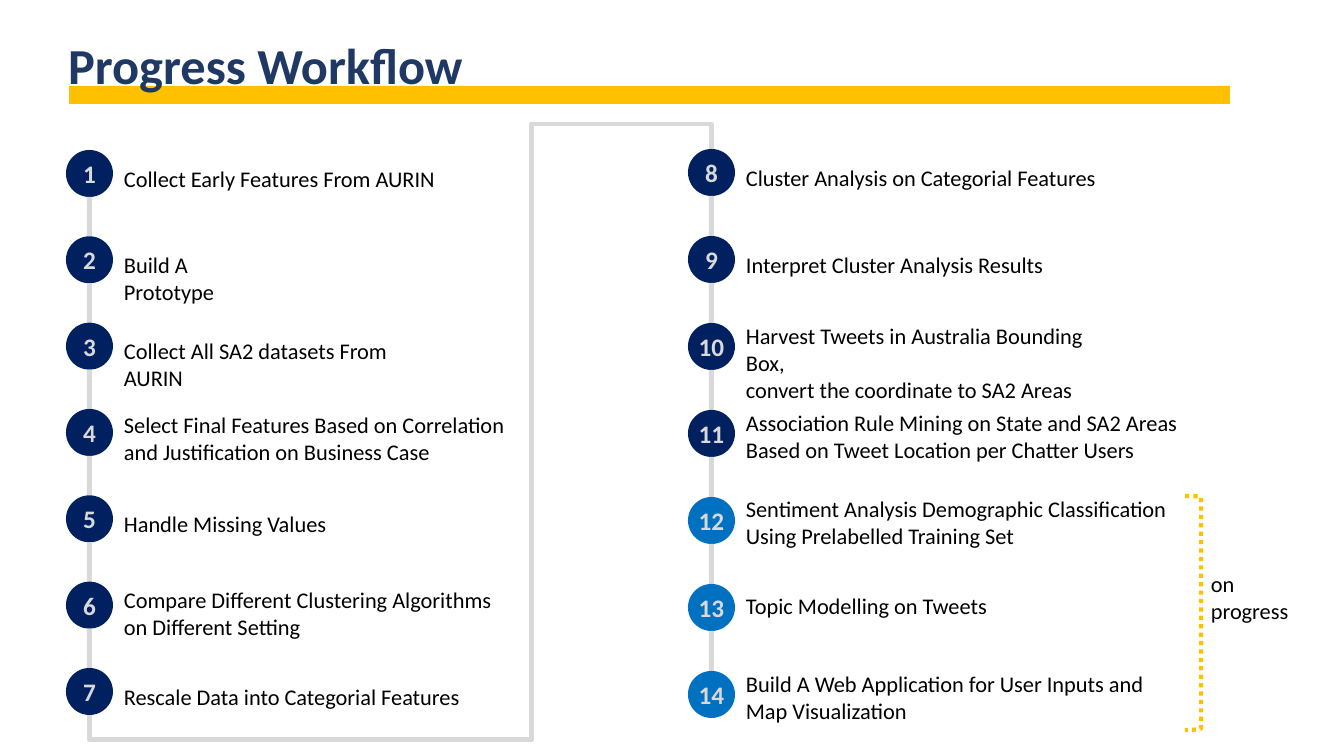
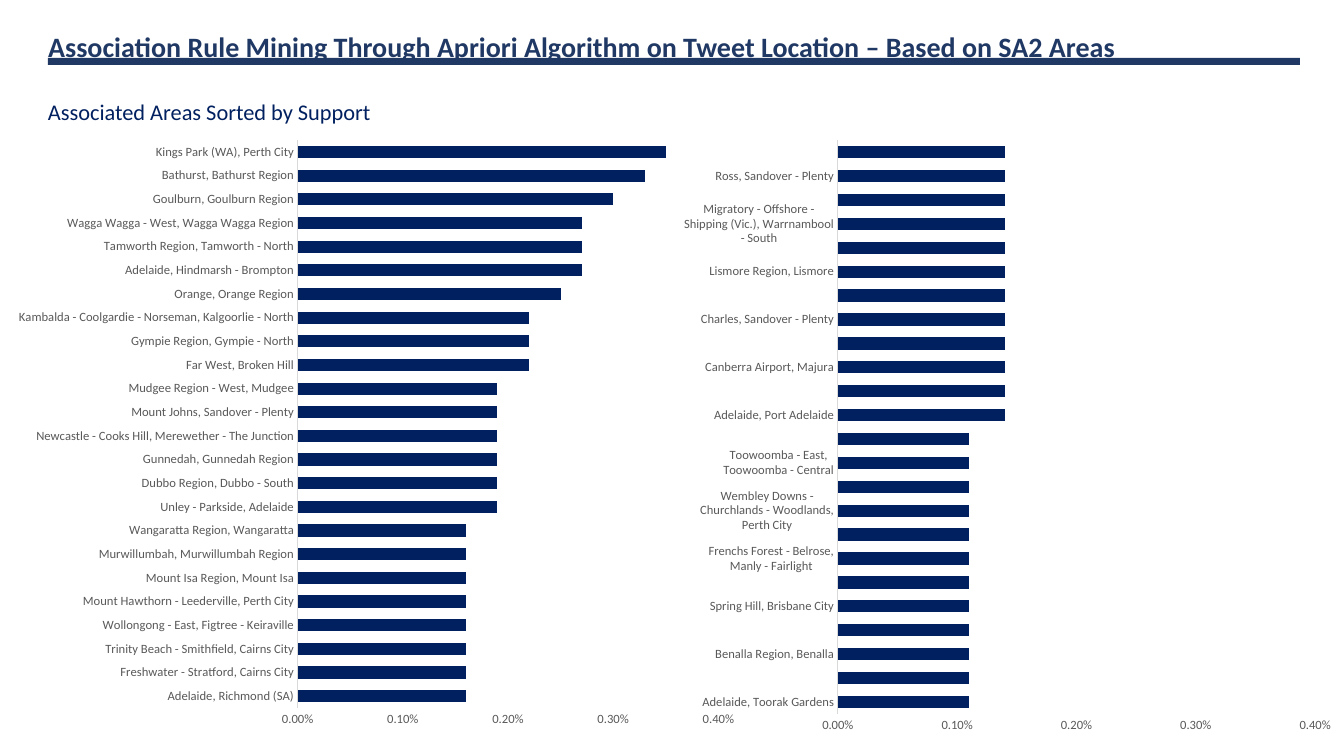
from lxml import etree
from pptx import Presentation
from pptx.chart.data import CategoryChartData
from pptx.dml.color import RGBColor
from pptx.enum.chart import XL_CHART_TYPE, XL_TICK_MARK
from pptx.enum.dml import MSO_LINE
from pptx.enum.shapes import MSO_CONNECTOR, MSO_SHAPE
from pptx.enum.text import MSO_ANCHOR, MSO_AUTO_SIZE, PP_ALIGN
from pptx.oxml.ns import qn
from pptx.util import Emu, Pt

RECT, OVAL, BRACKET = MSO_SHAPE.RECTANGLE, MSO_SHAPE.OVAL, MSO_SHAPE.RIGHT_BRACKET
ELBOW, DOTS = MSO_CONNECTOR.ELBOW, MSO_LINE.ROUND_DOT
BARS, NO_TICK = XL_CHART_TYPE.BAR_CLUSTERED, XL_TICK_MARK.NONE
LEFT, CENTER = PP_ALIGN.LEFT, PP_ALIGN.CENTER
TOP, MIDDLE = MSO_ANCHOR.TOP, MSO_ANCHOR.MIDDLE

FONT = "Calibri"
NAVY, BLUE, INK = "002060", "0070C0", "203864"
GOLD, GREY, DARK, BLACK = "FFC000", "D9D9D9", "595959", "000000"
SCALE = 914400 / 100.8  # EMU in one px

# Workflow: label offset from the disc, label width, text
DISC, WIDE = 47, 490
LATE = 12  # first step still in progress
COLS = [
    {"x": 66, "top": 150, "end": 668, "steps": [
        (10, WIDE, "Collect Early Features From AURIN"),
        (10, 160, "Build A Prototype"),
        (10, 310, "Collect All SA2 datasets From AURIN"),
        (-3, WIDE, "Select Final Features Based on Correlation\n"
                   "and Justification on Business Case"),
        (10, WIDE, "Handle Missing Values"),
        (0, WIDE, "Compare Different Clustering Algorithms\non Different Setting"),
        (10, WIDE, "Rescale Data into Categorial Features")]},
    {"x": 688, "top": 149, "end": 671, "steps": [
        (10, WIDE, "Cluster Analysis on Categorial Features"),
        (10, WIDE, "Interpret Cluster Analysis Results"),
        (-6, 375, "Harvest Tweets in Australia Bounding Box,\n"
                  "convert the coordinate to SA2 Areas"),
        (-6, WIDE, "Association Rule Mining on State and SA2 Areas\n"
                   "Based on Tweet Location per Chatter Users"),
        (-7, WIDE, "Sentiment Analysis Demographic Classification\n"
                   "Using Prelabelled Training Set"),
        (3, WIDE, "Topic Modelling on Tweets"),
        (-6, WIDE, "Build A Web Application for User Inputs and\nMap Visualization")]},
]

# Charts: box in px, then areas by support, lowest bar first
CHARTS = [
    ((4, 128, 745, 611), {
        0.0016: ["Adelaide, Richmond (SA)", "Freshwater - Stratford, Cairns City",
                 "Trinity Beach - Smithfield, Cairns City",
                 "Wollongong - East, Figtree - Keiraville",
                 "Mount Hawthorn - Leederville, Perth City",
                 "Mount Isa Region, Mount Isa", "Murwillumbah, Murwillumbah Region",
                 "Wangaratta Region, Wangaratta"],
        0.0019: ["Unley - Parkside, Adelaide", "Dubbo Region, Dubbo - South",
                 "Gunnedah, Gunnedah Region",
                 "Newcastle - Cooks Hill, Merewether - The Junction",
                 "Mount Johns, Sandover - Plenty", "Mudgee Region - West, Mudgee"],
        0.0022: ["Far West, Broken Hill", "Gympie Region, Gympie - North",
                 "Kambalda - Coolgardie - Norseman, Kalgoorlie - North"],
        0.0025: ["Orange, Orange Region"],
        0.0027: ["Adelaide, Hindmarsh - Brompton", "Tamworth Region, Tamworth - North",
                 "Wagga Wagga - West, Wagga Wagga Region"],
        0.0030: ["Goulburn, Goulburn Region"],
        0.0033: ["Bathurst, Bathurst Region"],
        0.0035: ["Kings Park (WA), Perth City"]}),
    ((684, 128, 660, 617), {
        0.0011: ["Adelaide, Toorak Gardens", "Brisbane City, Ashgrove",
                 "Benalla Region, Benalla", "Brisbane City, Margate - Woody Point",
                 "Spring Hill, Brisbane City", "Castlemaine, Castlemaine Region",
                 "Frenchs Forest - Belrose, Manly - Fairlight",
                 "Horsham Region, Horsham",
                 "Wembley Downs - Churchlands - Woodlands, Perth City",
                 "Roma Region, Roma", "Toowoomba - East, Toowoomba - Central",
                 "Wagga Wagga - East, Wagga Wagga Region"],
        0.0014: ["Adelaide, Port Adelaide",
                 "Wollongong - East, Balgownie - Fairy Meadow",
                 "Canberra Airport, Majura", "Cannington - Queens Park, Perth City",
                 "Charles, Sandover - Plenty",
                 "Forrestfield - Wattle Grove, Perth City",
                 "Lismore Region, Lismore",
                 "Migratory - Offshore - Shipping (Vic.), No usual address (Vic.)",
                 "Migratory - Offshore - Shipping (Vic.), Warrnambool - South",
                 "No usual address (Vic.), Warrnambool - South",
                 "Ross, Sandover - Plenty",
                 "Migratory - Offshore - Shipping (Vic.), No usual address (Vic.), "
                 "Warrnambool - South"]}),
]


def px(num):
    return Emu(round(num * SCALE))


def rgb(code):
    return RGBColor.from_string(code)


def style(font, size, color, bold=False):
    font.name, font.size, font.bold = FONT, Pt(size), bold
    font.color.rgb = rgb(color)


def write(shape, text, size, color, bold=False, align=LEFT, anchor=TOP, wrap=True):
    frame = shape.text_frame
    frame.text = text
    frame.word_wrap, frame.vertical_anchor = wrap, anchor
    frame.auto_size = MSO_AUTO_SIZE.NONE
    for para in frame.paragraphs:
        para.alignment = align
        for run in para.runs:
            style(run.font, size, color, bold)


def label(slide, box, text, color=BLACK):
    write(slide.shapes.add_textbox(*map(px, box)), text, 16, color)


def block(slide, kind, box, fill=None):
    shape = slide.shapes.add_shape(kind, *map(px, box))
    shape.shadow.inherit = False
    if fill:
        shape.fill.solid()
        shape.fill.fore_color.rgb = rgb(fill)
        shape.line.fill.background()
    else:
        shape.fill.background()
    return shape


def start(deck, text, size, box, band, fill):
    """Add a slide with its title and the band under it."""
    slide = deck.slides.add_slide(deck.slide_layouts[5])
    title = slide.shapes.title
    title.left, title.top, title.width, title.height = map(px, box)
    write(title, text, size, INK, bold=True, wrap=False)
    return slide, block(slide, RECT, band, fill)


def link(slide):
    """Lead from under step 7 up to the top of step 8."""
    one, two = COLS
    x1, x2 = one["x"] + DISC / 2, two["x"] + DISC / 2
    y1, y2 = one["end"] + DISC, two["top"]
    # The frame is turned a quarter, so width and height swap
    midx, midy, wide, high = (x1 + x2) / 2, (y1 + y2) / 2, y1 - y2, x2 - x1
    line = slide.shapes.add_connector(
        ELBOW, px(midx + wide / 2), px(midy + high / 2),
        px(midx - wide / 2), px(midy - high / 2))
    line.line.color.rgb, line.line.width = rgb(GREY), Pt(3.5)
    props = line._element.spPr
    props.find(qn("a:xfrm")).set("rot", "5400000")
    geom = props.find(qn("a:prstGeom"))
    geom.set("prst", "bentConnector5")
    for old in list(geom):
        geom.remove(old)
    bends = etree.SubElement(geom, qn("a:avLst"))
    for num, val in enumerate((-4400, 71000, 104400), 1):
        etree.SubElement(bends, qn("a:gd"), name=f"adj{num}", fmla=f"val {val}")
    etree.SubElement(props, qn("a:effectLst"))


def flow(deck):
    slide, band = start(deck, "Progress Workflow", 36, (58, 29, 994, 57),
                        (69, 86, 1161, 18), GOLD)
    slide.shapes._spTree.insert(2, band._element)  # band goes behind the title
    link(slide)
    num = 0
    for col in COLS:
        x, steps = col["x"], col["steps"]
        pitch = (col["end"] - col["top"]) / (len(steps) - 1)
        for row, (shift, wide, text) in enumerate(steps):
            num += 1
            y = col["top"] + row * pitch
            if row:
                block(slide, RECT, (x + DISC / 2 - 2.5, y - pitch + DISC, 5,
                                    pitch - DISC), GREY)
            disc = block(slide, OVAL, (x, y, DISC, DISC), BLUE if num >= LATE else NAVY)
            frame = disc.text_frame
            frame.margin_left = frame.margin_right = 0
            write(disc, str(num), 18, GREY, True, CENTER, MIDDLE)
            high = 65 if "\n" in text else 37
            label(slide, (x + DISC + 1, y + shift, wide, high), text)
    # Steps in progress
    mark = block(slide, BRACKET, (1185, 496, 16, 234))
    mark.line.color.rgb, mark.line.width = rgb(GOLD), Pt(3)
    mark.line.dash_style = DOTS
    label(slide, (1201, 565, 137, 65), "on\nprogress")


def graph(slide, box, groups):
    data = CategoryChartData(number_format="0.00%")
    data.categories = [name for names in groups.values() for name in names]
    data.add_series("Series 1", [val for val, names in groups.items() for _ in names])
    chart = slide.shapes.add_chart(BARS, *map(px, box), data).chart
    chart.has_legend = chart.has_title = False
    style(chart.font, 10, BLACK)
    plot = chart.plots[0]
    plot.gap_width, plot.vary_by_categories = 95, False
    fill = plot.series[0].format.fill
    fill.solid()
    fill.fore_color.rgb = rgb(NAVY)
    cat, val = chart.category_axis, chart.value_axis
    for axis in (cat, val):
        axis.has_major_gridlines = False
        axis.major_tick_mark = axis.minor_tick_mark = NO_TICK
        style(axis.tick_labels.font, 9, DARK)
    cat.format.line.color.rgb, cat.format.line.width = rgb(GREY), Pt(0.75)
    val.format.line.fill.background()
    val.minimum_scale, val.maximum_scale, val.major_unit = 0, 0.004, 0.001
    val.tick_labels.number_format = "0.00%"
    val.tick_labels.number_format_is_linked = False


def rules(deck):
    slide, _ = start(
        deck, "Association Rule Mining Through Apriori Algorithm on Tweet Location"
        " – Based on SA2 Areas", 20, (38, 24, 1100, 34), (48, 58, 1252, 7), INK)
    for box, groups in CHARTS:
        graph(slide, box, groups)
    label(slide, (38, 93, 400, 37), "Associated Areas Sorted by Support", NAVY)


def main():
    deck = Presentation()
    deck.slide_width, deck.slide_height = px(1344), px(756)
    flow(deck)
    rules(deck)
    deck.save("out.pptx")


if __name__ == "__main__":
    main()
